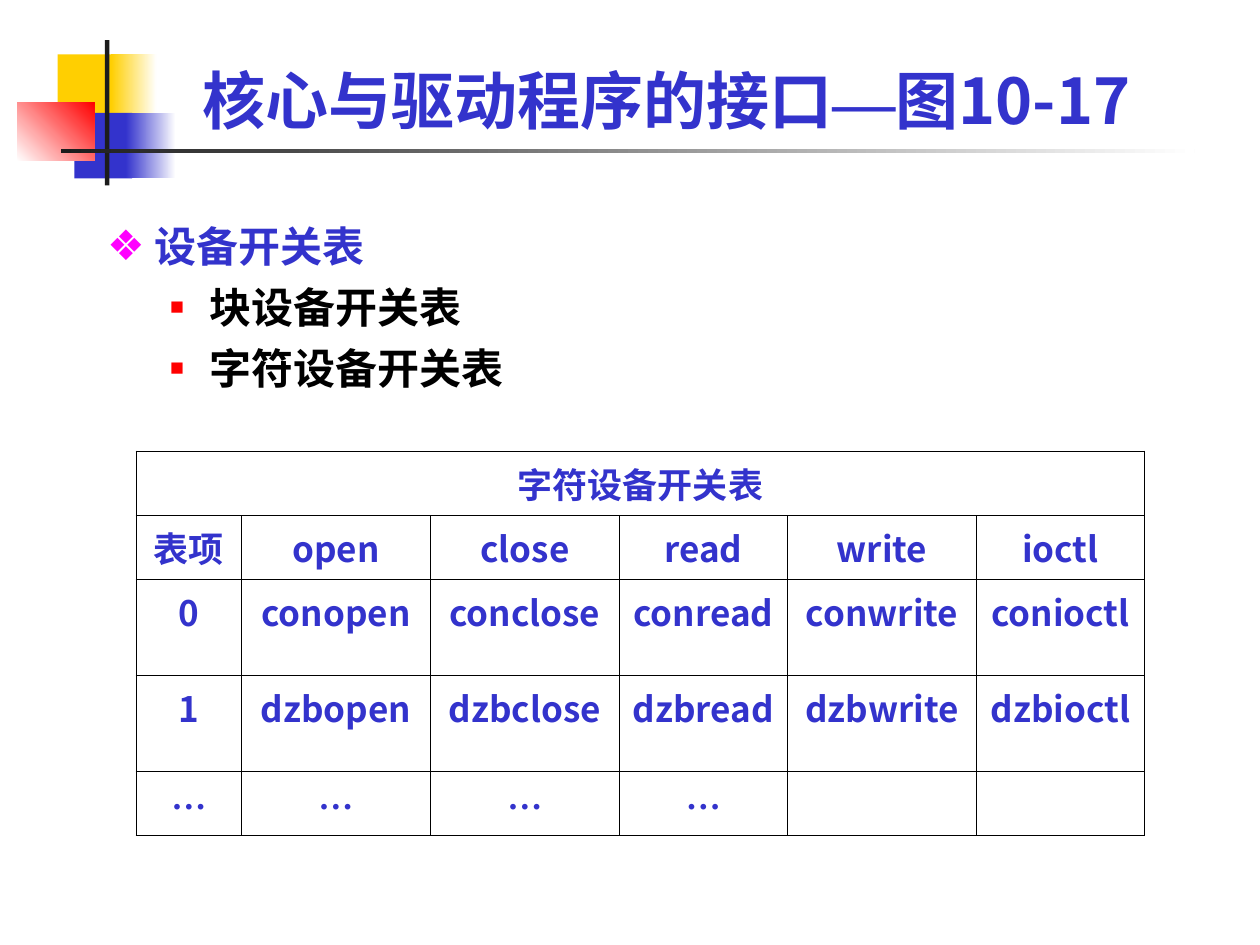
from typing import NamedTuple

from lxml.etree import SubElement
from pptx import Presentation
from pptx.dml.color import RGBColor
from pptx.enum.shapes import MSO_SHAPE as Shape
from pptx.enum.text import MSO_ANCHOR as Anchor, MSO_AUTO_SIZE as Fit, PP_ALIGN as Align
from pptx.oxml.ns import qn
from pptx.util import Pt

BLUE, BLACK, WHITE, DARK = "3333CC", "000000", "FFFFFF", "1C1C1C"
GOLD, RED, PINK = "FFCF01", "FF0000", "FF00FF"
SANS, SERIF, BODY = "Noto Sans CJK SC", "Times New Roman", "Cabin"


class Block(NamedTuple):
    left: float
    top: float
    width: float
    height: float
    start: str
    end: str = ""
    angle: float = 0


class Item(NamedTuple):
    text: str
    level: int
    color: str
    mark: str
    tint: str
    scale: int
    left: float
    hang: float
    gap: float


BLOCKS = [
    Block(33, 31, 34.5, 37.5, GOLD),
    Block(63.5, 31, 26, 37.5, GOLD, WHITE),
    Block(42.5, 64.5, 33, 37.5, BLUE),
    Block(72, 64.5, 28.5, 37.5, BLUE, WHITE),
    Block(10, 58.5, 44, 33.5, WHITE, RED, 45),
    Block(60, 23, 2.5, 83, DARK),
    Block(34.75, 85, 648, 2.5, DARK, WHITE),
]
ITEMS = [
    Item("设备开关表", 0, BLUE, "❖", PINK, 100, 27, 27, 0),
    Item("块设备开关表", 1, BLACK, "■", RED, 55, 58.5, 22.5, 6),
    Item("字符设备开关表", 1, BLACK, "■", RED, 55, 58.5, 22.5, 6),
]
CALLS = ["open", "close", "read", "write", "ioctl"]
ROWS = [
    ["字符设备开关表"],
    ["表项", *CALLS],
    ["0", *("con" + call for call in CALLS)],
    ["1", *("dzb" + call for call in CALLS)],
    ["…"] * 4,
]
WIDTHS = [60, 108, 108, 96, 108, 96]
HEIGHTS = [36.5, 36.5, 55, 55, 36.5]


def paint(hue: str) -> RGBColor:
    return RGBColor.from_string(hue)


def style(run, size: float, face: str, hue: str, east: str = "") -> None:
    """Format a run, with its East Asian face equal to face unless given."""
    font = run.font
    font.size, font.bold, font.name = Pt(size), True, face
    font.color.rgb = paint(hue)
    SubElement(run._r.get_or_add_rPr(), qn("a:ea"), typeface=east or face)


def place(shape, left: float, top: float, width: float, height: float) -> None:
    shape.left, shape.top = Pt(left), Pt(top)
    shape.width, shape.height = Pt(width), Pt(height)


def draw_block(slide, block: Block) -> None:
    shape = slide.shapes.add_shape(Shape.RECTANGLE, *map(Pt, block[:4]))
    shape.shadow.inherit = False
    shape.line.fill.background()
    if not block.end:
        shape.fill.solid()
        shape.fill.fore_color.rgb = paint(block.start)
        return
    shape.fill.gradient()
    shape.fill.gradient_angle = block.angle
    for stop, hue in zip(shape.fill.gradient_stops, (block.start, block.end)):
        stop.color.rgb = paint(hue)


def fill_title(title) -> None:
    place(title, 108.5, 26, 557.5, 56)
    frame = title.text_frame
    frame.auto_size, frame.vertical_anchor = Fit.NONE, Anchor.BOTTOM
    para = frame.paragraphs[0]
    para.alignment = Align.LEFT
    for text, face in [("核心与驱动程序的接口", SANS), ("—", SERIF), ("图10-17", SANS)]:
        run = para.add_run()
        run.text = text
        style(run, 36, face, BLUE)


def add_mark(para, item: Item) -> None:
    """Give a list paragraph its bullet and hanging indent."""
    props = para._p.get_or_add_pPr()
    props.set("marL", str(Pt(item.left)))
    props.set("indent", str(-Pt(item.hang)))
    tint = SubElement(props, qn("a:buClr"))
    SubElement(tint, qn("a:srgbClr"), val=item.tint)
    SubElement(props, qn("a:buSzPct"), val=str(item.scale * 1000))
    SubElement(props, qn("a:buChar"), char=item.mark)


def fill_list(body) -> None:
    place(body, 54, 122.5, 620.5, 342)
    frame = body.text_frame
    frame.auto_size = Fit.NONE
    frame.text = "\n".join(item.text for item in ITEMS)
    for para, item in zip(frame.paragraphs, ITEMS):
        para.level = item.level
        add_mark(para, item)
        para.space_before = Pt(item.gap)
        style(para.runs[0], 24, BODY, item.color)


def add_edge(cell, side: str, width: float) -> None:
    line = SubElement(cell._tc.get_or_add_tcPr(), qn("a:ln" + side), w=str(Pt(width)))
    fill = SubElement(line, qn("a:solidFill"))
    SubElement(fill, qn("a:srgbClr"), val=BLACK)


def draw_table(slide) -> None:
    frame = slide.shapes.add_table(len(ROWS), len(WIDTHS), Pt(78), Pt(258),
                                   Pt(sum(WIDTHS)), Pt(sum(HEIGHTS)))
    table = frame.table
    table.first_row = table.horz_banding = False
    for col, width in zip(table.columns, WIDTHS):
        col.width = Pt(width)
    for row, height in zip(table.rows, HEIGHTS):
        row.height = Pt(height)
    table.cell(0, 0).merge(table.cell(0, len(WIDTHS) - 1))
    last_row, last_col = len(ROWS) - 1, len(WIDTHS) - 1
    for r, texts in enumerate(ROWS):
        for c in range(len(WIDTHS)):
            cell = table.cell(r, c)
            if cell.is_spanned:
                continue
            outer = {"L": c == 0, "R": c == last_col or r == 0,
                     "T": r == 0, "B": r == last_row}
            for side, thick in outer.items():
                add_edge(cell, side, 1.08 if thick else 0.45)
            cell.fill.background()
            if c < len(texts):
                cell.text_frame.text = texts[c]
                para = cell.text_frame.paragraphs[0]
                para.alignment = Align.CENTER
                face = SERIF if texts[c] == "…" else SANS
                style(para.runs[0], 20, face, BLUE, SANS)


def main() -> None:
    deck = Presentation()
    deck.slide_width, deck.slide_height = Pt(720), Pt(540)
    slide = deck.slides.add_slide(deck.slide_layouts[1])
    for block in BLOCKS:
        draw_block(slide, block)
    fill_title(slide.shapes.title)
    fill_list(slide.placeholders[1])
    draw_table(slide)
    deck.save("out.pptx")


if __name__ == "__main__":
    main()
